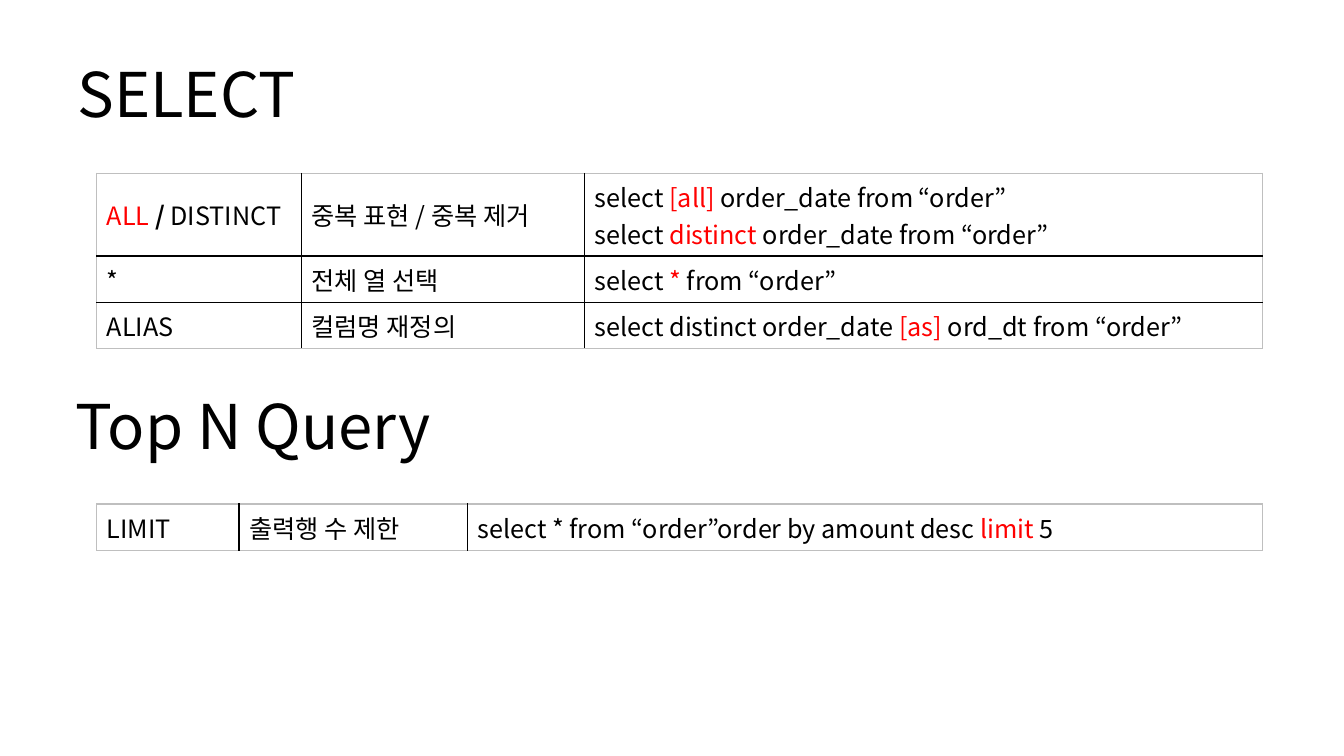
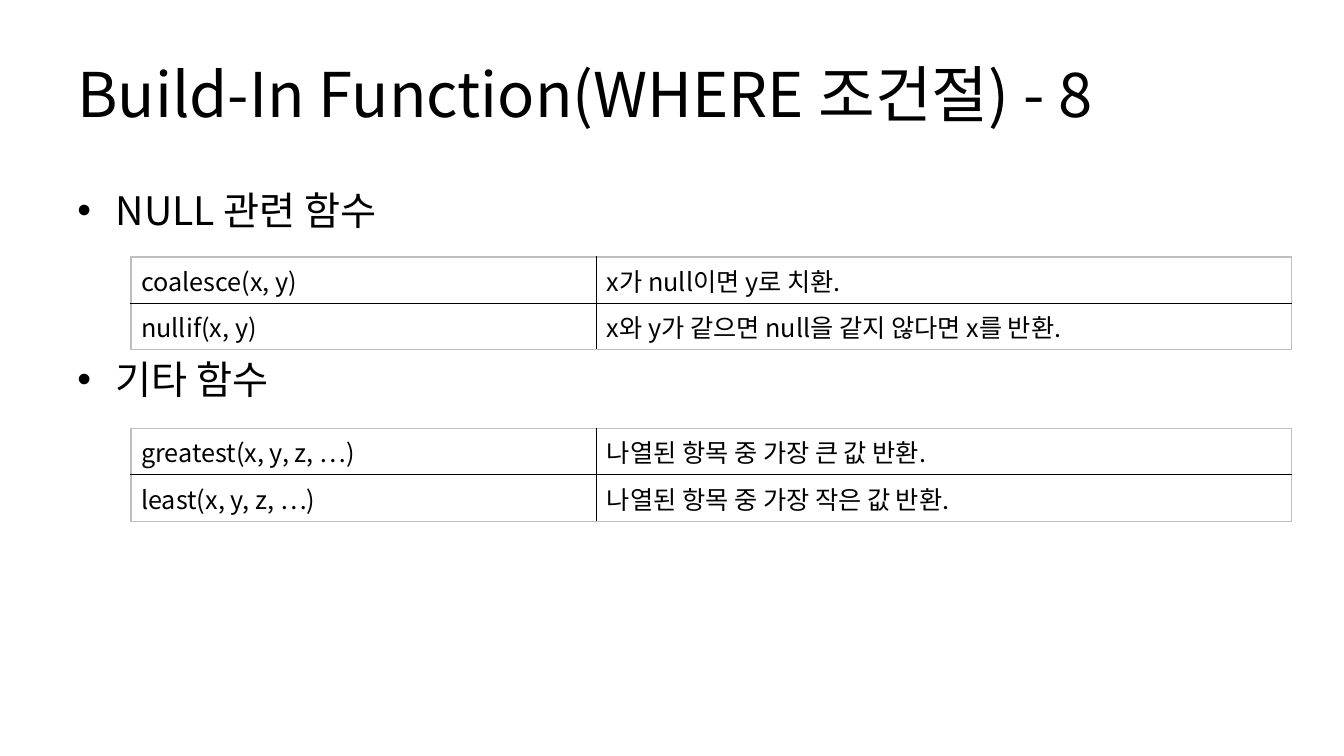
from dataclasses import dataclass

from lxml.etree import SubElement
from pptx import Presentation
from pptx.dml.color import RGBColor
from pptx.enum.text import MSO_ANCHOR
from pptx.oxml.ns import qn
from pptx.slide import Slide
from pptx.table import _Cell
from pptx.text.text import TextFrame, _Paragraph
from pptx.util import Inches, Pt

FONT = "Noto Sans CJK KR"
BLACK = RGBColor(0x00, 0x00, 0x00)
RED = RGBColor(0xFF, 0x00, 0x00)
GREY = RGBColor(0xBF, 0xBF, 0xBF)
TITLE_SIZE, BODY_SIZE, CELL_SIZE = 44, 28, 18
LINE_HEIGHT, CELL_PADDING = 0.36, 0.1
BULLET_INDENT = 0.38


@dataclass(frozen=True)
class Span:
    text: str
    color: RGBColor = BLACK
    bold: bool = False


Line = list[Span]
Content = str | list[Line]


@dataclass(frozen=True)
class Grid:
    left: float
    top: float
    columns: list[float]
    rows: list[list[Content]]


def red(text: str) -> Span:
    return Span(text, RED)


def as_lines(content: Content) -> list[Line]:
    return [[Span(content)]] if isinstance(content, str) else content


def write(frame: TextFrame, content: Content, *, size: int) -> None:
    frame.word_wrap = True
    for index, line in enumerate(as_lines(content)):
        paragraph = frame.paragraphs[0] if index == 0 else frame.add_paragraph()
        for span in line:
            run = paragraph.add_run()
            run.text = span.text
            run.font.name = FONT
            run.font.size = Pt(size)
            run.font.bold = span.bold
            run.font.color.rgb = span.color
            SubElement(run.font._element, qn("a:ea"), typeface=FONT)


def add_text(page: Slide, text: str, *, left: float, top: float, height: float,
             size: int) -> _Paragraph:
    box = page.shapes.add_textbox(Inches(left), Inches(top), Inches(12), Inches(height))
    frame = box.text_frame
    frame.vertical_anchor = MSO_ANCHOR.MIDDLE
    frame.margin_top = frame.margin_bottom = 0
    write(frame, text, size=size)
    return frame.paragraphs[0]


def add_title(page: Slide, text: str, *, left: float = 0.67, top: float = 0.3) -> None:
    add_text(page, text, left=left, top=top, height=1.25, size=TITLE_SIZE)


def add_bullet(page: Slide, text: str, *, top: float) -> None:
    paragraph = add_text(page, text, left=0.67, top=top, height=0.56, size=BODY_SIZE)
    properties = paragraph._p.get_or_add_pPr()
    properties.set("marL", str(Inches(BULLET_INDENT)))
    properties.set("indent", str(-Inches(BULLET_INDENT)))
    SubElement(properties, qn("a:buFont"), typeface="Arial")
    SubElement(properties, qn("a:buChar"), char="•")


def set_borders(cell: _Cell, colors: dict[str, RGBColor]) -> None:
    properties = cell._tc.get_or_add_tcPr()
    for index, (side, color) in enumerate(colors.items()):
        border = SubElement(properties, qn(f"a:ln{side}"), w=str(Pt(1)))
        fill = SubElement(border, qn("a:solidFill"))
        SubElement(fill, qn("a:srgbClr"), val=str(color))
        properties.insert(index, border)


def add_grid(page: Slide, grid: Grid) -> None:
    heights = [max(len(as_lines(content)) for content in row) * LINE_HEIGHT + CELL_PADDING
               for row in grid.rows]
    last_row, last_column = len(grid.rows) - 1, len(grid.columns) - 1
    table = page.shapes.add_table(
        len(grid.rows), len(grid.columns), Inches(grid.left), Inches(grid.top),
        Inches(sum(grid.columns)), Inches(sum(heights))).table
    table.first_row = table.horz_banding = False
    for column, width in zip(table.columns, grid.columns):
        column.width = Inches(width)
    for row, height in zip(table.rows, heights):
        row.height = Inches(height)
    for y, contents in enumerate(grid.rows):
        for x, content in enumerate(contents):
            cell = table.cell(y, x)
            cell.vertical_anchor = MSO_ANCHOR.MIDDLE
            cell.fill.background()
            write(cell.text_frame, content, size=CELL_SIZE)
            set_borders(cell, {
                "L": GREY if x == 0 else BLACK,
                "R": GREY if x == last_column else BLACK,
                "T": GREY if y == 0 else BLACK,
                "B": GREY if y == last_row else BLACK,
            })


SELECT_GRID = Grid(0.96, 1.72, [2.03, 2.81, 6.72], [
    [
        [[red("ALL "), Span("/", bold=True), Span(" DISTINCT")]],
        "중복 표현 / 중복 제거",
        [[Span("select "), red(keyword), Span("order_date from “order”")]
         for keyword in ("[all] ", "distinct ")],
    ],
    ["*", "전체 열 선택", [[Span("select "), red("*"), Span(" from “order”")]]],
    ["ALIAS", "컬럼명 재정의",
     [[Span("select distinct order_date "), red("[as] "), Span("ord_dt from “order”")]]],
])
LIMIT_GRID = Grid(0.96, 5, [1.41, 2.27, 7.88], [
    ["LIMIT", "출력행 수 제한",
     [[Span("select * from “order”order by amount desc "), red("limit"), Span(" 5")]]],
])
FUNCTION_COLUMNS = [4.62, 6.89]
NULL_GRID = Grid(1.3, 2.55, FUNCTION_COLUMNS, [
    ["coalesce(x, y)", "x가 null이면 y로 치환."],
    ["nullif(x, y)", "x와 y가 같으면 null을 같지 않다면 x를 반환."],
])
OTHER_GRID = Grid(1.3, 4.25, FUNCTION_COLUMNS, [
    ["greatest(x, y, z, …)", "나열된 항목 중 가장 큰 값 반환."],
    ["least(x, y, z, …)", "나열된 항목 중 가장 작은 값 반환."],
])


def build_select(page: Slide) -> None:
    add_title(page, "SELECT")
    add_grid(page, SELECT_GRID)
    add_title(page, "Top N Query", left=0.65, top=3.59)
    add_grid(page, LIMIT_GRID)


def build_functions(page: Slide) -> None:
    add_title(page, "Build-In Function(WHERE 조건절) - 8")
    add_bullet(page, "NULL 관련 함수", top=1.8)
    add_bullet(page, "기타 함수", top=3.48)
    add_grid(page, NULL_GRID)
    add_grid(page, OTHER_GRID)


def main() -> None:
    deck = Presentation()
    deck.slide_width, deck.slide_height = Inches(13.33), Inches(7.5)
    for build in (build_select, build_functions):
        build(deck.slides.add_slide(deck.slide_layouts[6]))
    deck.save("out.pptx")


if __name__ == "__main__":
    main()
